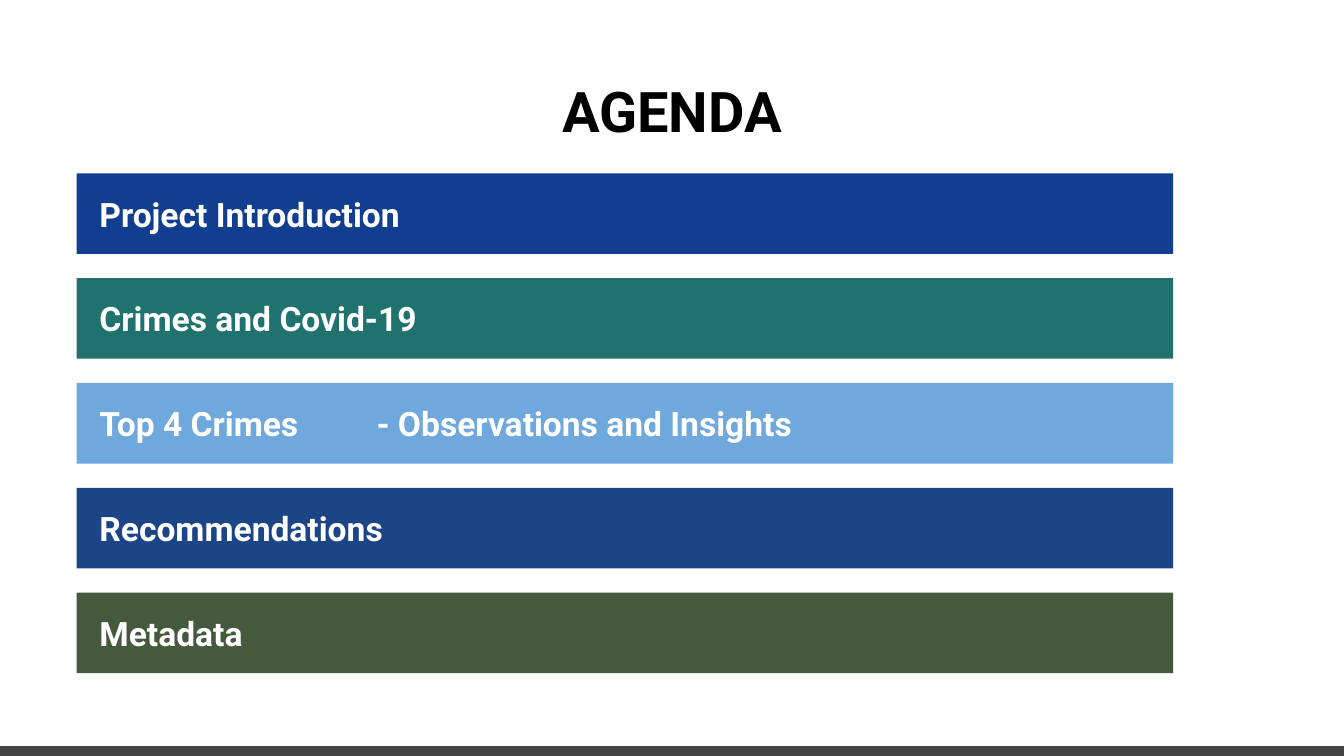
"""Build the agenda slide with five coloured topic bars."""
from dataclasses import dataclass

from lxml.etree import SubElement
from pptx import Presentation
from pptx.dml.color import RGBColor as RGB
from pptx.enum.shapes import MSO_CONNECTOR as CONN, MSO_SHAPE as SHAPE
from pptx.enum.text import MSO_ANCHOR as ANCHOR, MSO_AUTO_SIZE as AUTO, PP_ALIGN as ALIGN
from pptx.oxml.ns import qn
from pptx.util import Inches, Pt


@dataclass(frozen=True)
class Theme:
    font: str = "Roboto"
    title_size: int = 30
    bar_size: int = 18
    rule_width: int = 6
    background: str = "FFFFFF"
    title: str = "000000"
    bar_text: str = "FFFFFF"
    rule: str = "434343"
    bars: tuple = ("113E8F", "20726F", "6FA8DC", "1C4587", "45593C")


theme = Theme()


def add_run(p, text, size, color):
    r = p.add_run()
    r.text = text
    r.font.name = theme.font
    r.font.size = Pt(size)
    r.font.bold = True
    r.font.color.rgb = RGB.from_string(color)


def set_frame(tf, anchor, left, other):
    tf.word_wrap = True
    tf.auto_size = AUTO.NONE
    tf.vertical_anchor = anchor
    tf.margin_left = Inches(left)
    tf.margin_top = tf.margin_right = tf.margin_bottom = Inches(other)


prs = Presentation()
prs.slide_width = Inches(10)
prs.slide_height = Inches(10) * 9 // 16
s = prs.slides.add_slide(prs.slide_layouts[5])
s.background.fill.solid()
s.background.fill.fore_color.rgb = RGB.from_string(theme.background)

rule = s.shapes.add_connector(CONN.STRAIGHT, 0, Inches(5.59), Inches(10), Inches(5.59))
rule.line.color.rgb = RGB.from_string(theme.rule)
rule.line.width = Pt(theme.rule_width)
SubElement(rule._element.spPr, qn("a:effectLst"))

title = s.shapes.title
title.left, title.top = Inches(0.5), Inches(0.23)
title.width, title.height = Inches(9), Inches(0.94)
set_frame(title.text_frame, ANCHOR.BOTTOM, 0.1, 0.1)
p = title.text_frame.paragraphs[0]
p.alignment = ALIGN.CENTER
add_run(p, "AGENDA", theme.title_size, theme.title)

topics = (
    "Project Introduction",
    "Crimes and Covid-19",
    "Top 4 Crimes\t - Observations and Insights",
    "Recommendations",
    "Metadata",
)
for i, (topic, color) in enumerate(zip(topics, theme.bars)):
    bar = s.shapes.add_shape(
        SHAPE.RECTANGLE, Inches(0.57), Inches(1.29 + 0.78 * i), Inches(8.16), Inches(0.6)
    )
    bar.shadow.inherit = False
    bar.fill.solid()
    bar.fill.fore_color.rgb = RGB.from_string(color)
    bar.line.fill.background()
    set_frame(bar.text_frame, ANCHOR.MIDDLE, 0.17, 0.07)
    p = bar.text_frame.paragraphs[0]
    p.alignment = ALIGN.LEFT
    if "\t" in topic:
        tabs = SubElement(p._p.get_or_add_pPr(), qn("a:tabLst"))
        SubElement(tabs, qn("a:tab"), pos=str(Inches(2)), algn="l")
    add_run(p, topic, theme.bar_size, theme.bar_text)

prs.save("out.pptx")
